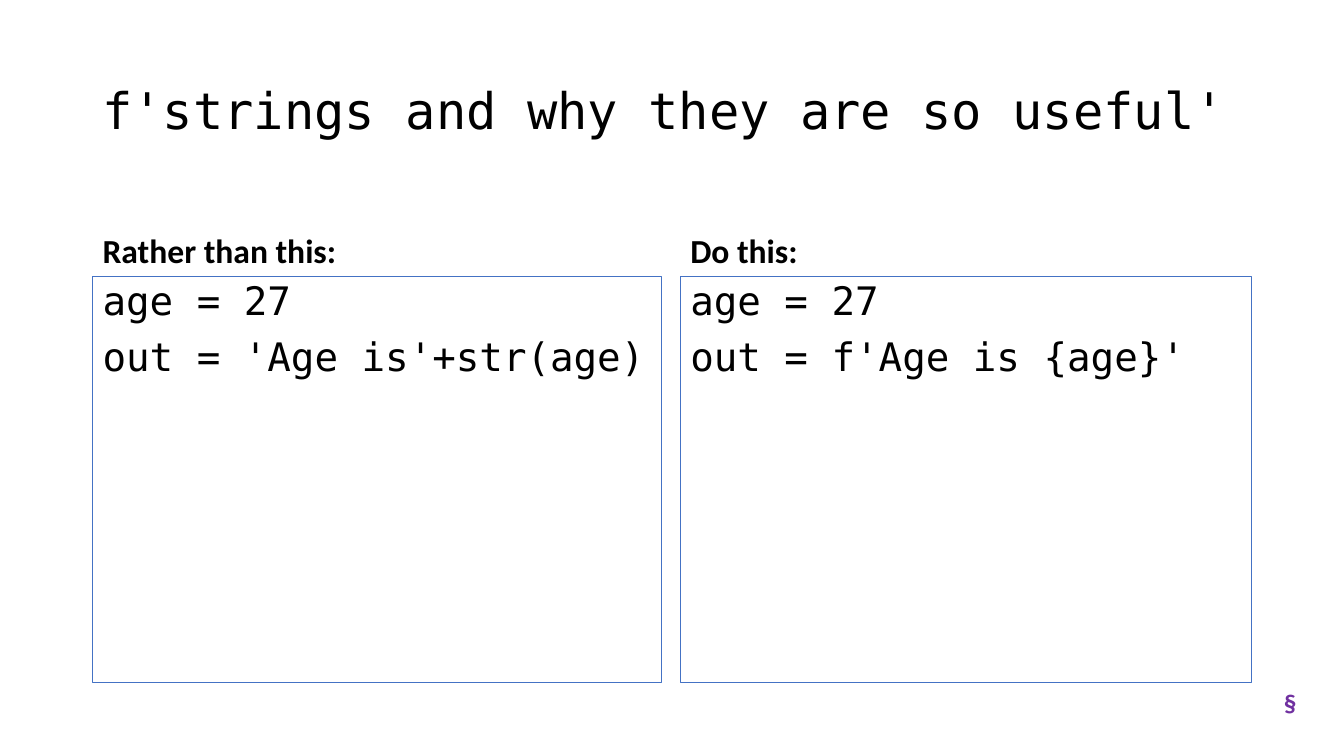
"""Builds a slide comparing string concatenation with f-strings."""
from pptx import Presentation
from pptx.dml.color import RGBColor
from pptx.enum.shapes import MSO_SHAPE
from pptx.enum.text import MSO_ANCHOR, MSO_AUTO_SIZE, PP_ALIGN
from pptx.util import Pt

RECTANGLE = MSO_SHAPE.RECTANGLE
TOP, MIDDLE, BOTTOM = MSO_ANCHOR.TOP, MSO_ANCHOR.MIDDLE, MSO_ANCHOR.BOTTOM
LEFT = PP_ALIGN.LEFT
GROW = MSO_AUTO_SIZE.SHAPE_TO_FIT_TEXT
CODE_FONT, TEXT_FONT = "DejaVu Sans Mono", "Calibri"


def color(value):
    return RGBColor.from_string(value)


def write(shape, lines, size, font, anchor=TOP, bold=False, ink="000000", spacing=0.9, before=0):
    frame = shape.text_frame
    frame.word_wrap = True
    frame.vertical_anchor = anchor
    for index, line in enumerate(lines):
        paragraph = frame.add_paragraph() if index else frame.paragraphs[0]
        paragraph.alignment = LEFT
        paragraph.line_spacing = spacing
        paragraph.space_before = Pt(before)
        run = paragraph.add_run()
        run.text = line
        run.font.size = Pt(size)
        run.font.name = font
        run.font.bold = bold
        run.font.color.rgb = color(ink)


presentation = Presentation()
presentation.slide_width = Pt(960)
presentation.slide_height = Pt(540)
slide = presentation.slides.add_slide(presentation.slide_layouts[6])

title = slide.shapes.add_textbox(Pt(66), Pt(28.8), Pt(828), Pt(104.4))
write(title, ["f'strings and why they are so useful'"], 36, CODE_FONT, MIDDLE)

columns = [
    (66.2, 406.1, "Rather than this:", ["age = 27", "out = 'Age is'+str(age)"]),
    (486, 408.2, "Do this:", ["age = 27", "out = f'Age is {age}'"]),
]
for left, width, label, code in columns:
    heading = slide.shapes.add_textbox(Pt(left), Pt(132.5), Pt(width), Pt(64.8))
    write(heading, [label], 24, TEXT_FONT, BOTTOM, bold=True, before=10)

    code_box = slide.shapes.add_shape(RECTANGLE, Pt(left), Pt(197.3), Pt(width), Pt(290.2))
    code_box.shadow.inherit = False
    code_box.fill.background()
    code_box.line.color.rgb = color("4472C4")
    code_box.line.width = Pt(0.75)
    write(code_box, code, 28, CODE_FONT, before=10)

section_mark = slide.shapes.add_textbox(Pt(910), Pt(487.5), Pt(23.8), Pt(29))
write(section_mark, ["§"], 18, TEXT_FONT, bold=True, ink="7030A0", spacing=1.0)
section_mark.text_frame.word_wrap = False
section_mark.text_frame.auto_size = GROW

presentation.save("out.pptx")
